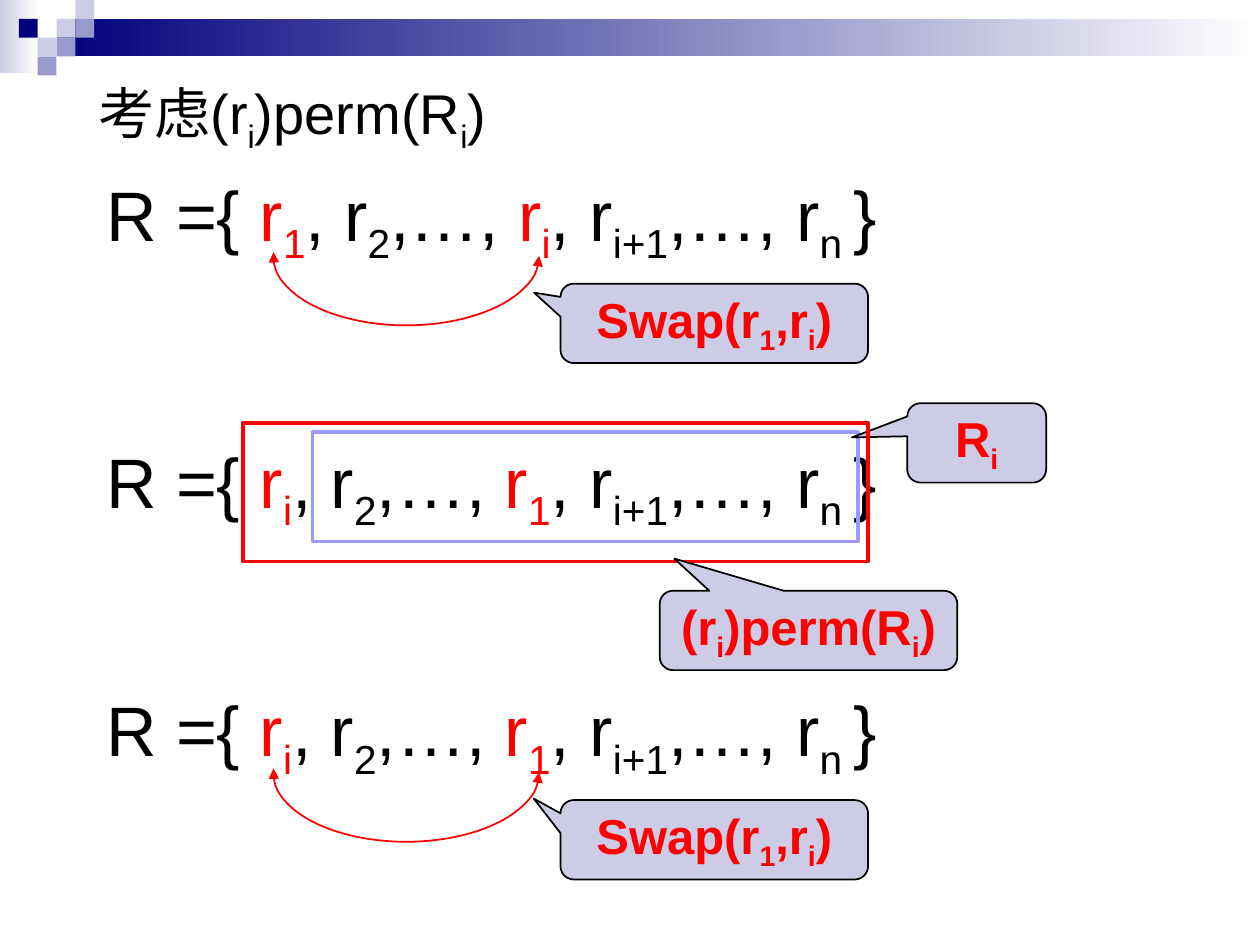
from typing import NamedTuple

from lxml import etree
from pptx import Presentation
from pptx.dml.color import RGBColor
from pptx.enum.shapes import MSO_SHAPE
from pptx.enum.text import MSO_ANCHOR, MSO_AUTO_SIZE, PP_ALIGN
from pptx.oxml.ns import qn
from pptx.util import Cm, Pt

RECT, ARC = MSO_SHAPE.RECTANGLE, MSO_SHAPE.ARC
CALLOUT = MSO_SHAPE.ROUNDED_RECTANGULAR_CALLOUT
TOP, LEFT, CENTER = MSO_ANCHOR.TOP, PP_ALIGN.LEFT, PP_ALIGN.CENTER
GROW = MSO_AUTO_SIZE.SHAPE_TO_FIT_TEXT
BLACK, RED, WHITE = "000000", "FF0000", "FFFFFF"
NAVY, LILAC, VIOLET, PERIWINKLE = "00007D", "CCCCE6", "9999CC", "9999FF"
CELL = 0.38


class Box(NamedTuple):
    left: float
    top: float
    width: float
    height: float


class Square(NamedTuple):
    column: int
    row: int
    color: str


class Piece(NamedTuple):
    """Text in one colour; every second part between underscores is a subscript."""
    text: str
    color: str


class Callout(NamedTuple):
    box: Box
    text: str
    tip_x: float
    tip_y: float


SQUARES = [
    Square(3, 1, LILAC), Square(4, 0, LILAC), Square(4, 1, VIOLET),
    Square(2, 2, LILAC), Square(1, 1, NAVY), Square(3, 2, VIOLET),
    Square(2, 3, VIOLET),
]
SWAP_1 = Callout(Box(11.3, 5.72, 6.2, 1.6), "Swap(r_1_,r_i_)", -0.586, -0.387)
SWAP_2 = Callout(Box(11.3, 16.13, 6.2, 1.6), "Swap(r_1_,r_i_)", -0.587, -0.519)
REST = Callout(Box(18.29, 8.13, 2.8, 1.6), "R_i", -0.898, -0.07)
PERM = Callout(Box(13.3, 11.91, 6, 1.6), "(r_i_)perm(R_i_)", -0.451, -0.905)


def rgb(color: str) -> RGBColor:
    return RGBColor.from_string(color)


def add_shape(s, kind, box: Box, fill: str = "", line: str = "", width: float = 1):
    sp = s.shapes.add_shape(kind, *map(Cm, box))
    sp.shadow.inherit = False
    if fill:
        sp.fill.solid()
        sp.fill.fore_color.rgb = rgb(fill)
    else:
        sp.fill.background()
    if line:
        sp.line.color.rgb = rgb(line)
        sp.line.width = Pt(width)
    else:
        sp.line.fill.background()
    return sp


def add_fade(s, box: Box, color: str) -> None:
    """Draw a bar that fades to white on its right."""
    sp = add_shape(s, RECT, box)
    sp.fill.gradient()
    sp.fill.gradient_angle = 0
    for stop, stop_color in zip(sp.fill.gradient_stops, (color, WHITE)):
        stop.color.rgb = rgb(stop_color)


def write(tf, pieces: list[Piece], size: int, bold: bool = False, align=LEFT) -> None:
    tf.vertical_anchor = TOP
    p = tf.paragraphs[0]
    p.alignment = align
    for piece in pieces:
        for index, text in enumerate(piece.text.split("_")):
            if not text:
                continue
            r = p.add_run()
            r.text = text
            r.font.name = "Arial"
            r.font.size = Pt(size)
            r.font.bold = bold
            r.font.color.rgb = rgb(piece.color)
            if index % 2:
                r.font._element.set("baseline", "-25000")


def add_sequence(s, top: float, first: str, middle: str) -> None:
    tf = s.shapes.add_textbox(Cm(1.5), Cm(top), Cm(19.8), Cm(2.18)).text_frame
    tf.word_wrap = True
    tf.auto_size = GROW
    write(tf, [
        Piece(" R ={ ", BLACK), Piece(f"r_{first}", RED),
        Piece(", r_2_,…, ", BLACK), Piece(f"r_{middle}", RED),
        Piece(", r_i+1_,…, r_n _}", BLACK),
    ], 40)


def add_swap_arc(s, top: float) -> None:
    sp = add_shape(s, ARC, Box(5.51, top, 5.36, 2.8), line=RED)
    # Angles count in 60000ths of a degree, scaled down by 100000
    sp.adjustments[0], sp.adjustments[1] = 0, 109
    ln = sp.line._get_or_add_ln()
    for end in ("a:headEnd", "a:tailEnd"):
        etree.SubElement(ln, qn(end), type="triangle")


def add_callout(s, callout: Callout) -> None:
    sp = add_shape(s, CALLOUT, callout.box, LILAC, BLACK)
    sp.adjustments[0], sp.adjustments[1] = callout.tip_x, callout.tip_y
    tf = sp.text_frame
    tf.margin_left = tf.margin_right = 0
    tf.margin_top = tf.margin_bottom = Cm(0.03)
    write(tf, [Piece(callout.text, RED)], 28, True, CENTER)


def add_title(s) -> None:
    title = s.shapes.title
    title.left, title.top, title.width, title.height = map(Cm, Box(1.98, 1.45, 8.1, 1.8))
    tf = title.text_frame
    tf.margin_left = tf.margin_right = 0
    tf.word_wrap = False
    tf.auto_size = GROW
    write(tf, [Piece("考虑(r_i_)perm(R_i_)", BLACK)], 32)


def main() -> None:
    prs = Presentation()
    prs.slide_width, prs.slide_height = Cm(25.4), Cm(19.05)
    s = prs.slides.add_slide(prs.slide_layouts[5])

    add_fade(s, Box(0, 0, 0.79, 1.47), LILAC)
    add_fade(s, Box(3 * CELL, CELL, 24.26, 2 * CELL), NAVY)
    for square in SQUARES:
        box = Box(square.column * CELL, square.row * CELL, CELL, CELL)
        add_shape(s, RECT, box, square.color)
    add_title(s)

    add_sequence(s, 3.33, "1", "i")
    add_swap_arc(s, 3.76)
    add_sequence(s, 8.71, "i", "1")
    add_shape(s, RECT, Box(6.3, 8.71, 11, 2.21), line=PERIWINKLE, width=2)
    add_callout(s, SWAP_1)
    add_callout(s, REST)
    add_shape(s, RECT, Box(4.9, 8.53, 12.6, 2.79), line=RED, width=2)
    add_callout(s, PERM)
    add_sequence(s, 13.72, "i", "1")
    add_swap_arc(s, 14.17)
    add_callout(s, SWAP_2)
    prs.save("out.pptx")


if __name__ == "__main__":
    main()
